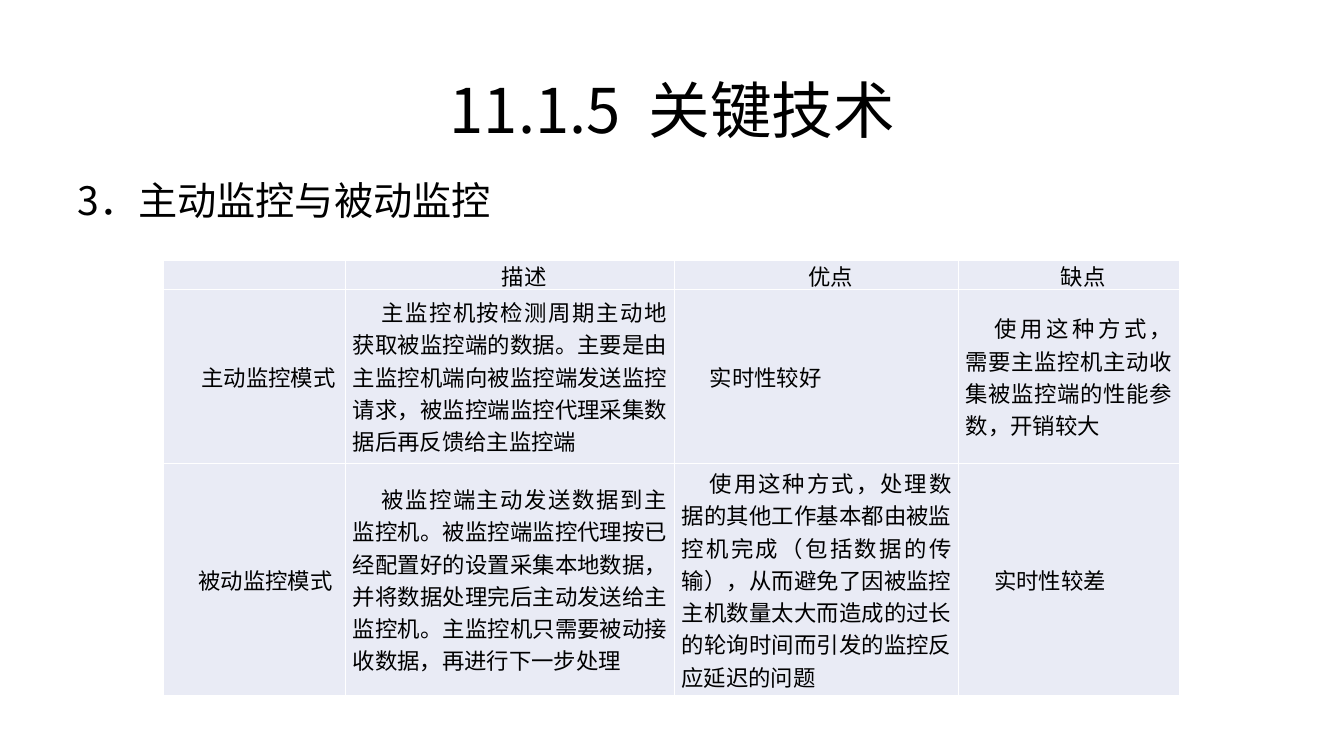
from lxml.etree import SubElement
from pptx import Presentation
from pptx.dml.color import RGBColor
from pptx.enum.text import MSO_ANCHOR, PP_ALIGN
from pptx.oxml.ns import qn
from pptx.util import Inches, Pt

FONT = "Noto Sans CJK SC"
BLACK = RGBColor(0, 0, 0)
CELL_FILL = RGBColor(0xE9, 0xEB, 0xF5)
BORDER = RGBColor(0xFF, 0xFF, 0xFF)


def add_run(paragraph, text, size):
    run = paragraph.add_run()
    run.text = text
    run.font.size = Pt(size)
    run.font.name = FONT
    run.font.color.rgb = BLACK
    SubElement(run.font._element, qn("a:ea"), typeface=FONT)


def add_border(cell, side):
    line = SubElement(cell._tc.get_or_add_tcPr(), qn(f"a:{side}"), w=str(Pt(1)))
    fill = SubElement(line, qn("a:solidFill"))
    SubElement(fill, qn("a:srgbClr"), val=str(BORDER))


presentation = Presentation()
presentation.slide_width = Inches(13.33)
presentation.slide_height = Inches(7.5)
slide = presentation.slides.add_slide(presentation.slide_layouts[6])

# Title and section heading
headings = [
    ("11.1.5  关键技术", 44, (0.92, 0.4, 11.5, 1.45), MSO_ANCHOR.MIDDLE, PP_ALIGN.CENTER),
    ("3．主动监控与被动监控", 28, (0.67, 1.75, 12, 0.7), MSO_ANCHOR.TOP, PP_ALIGN.LEFT),
]
for text, size, place, anchor, alignment in headings:
    shape = slide.shapes.add_textbox(*[Inches(value) for value in place])
    shape.text_frame.word_wrap = True
    shape.text_frame.vertical_anchor = anchor
    paragraph = shape.text_frame.paragraphs[0]
    paragraph.alignment = alignment
    paragraph.line_spacing = 0.9
    add_run(paragraph, text, size)

# Comparison table
rows = [
    ["", "描述", "优点", "缺点"],
    [
        "主动监控模式",
        "主监控机按检测周期主动地获取被监控端的数据。主要是由主监控机端向被监控端发送监控请求，被监控端监控代理采集数据后再反馈给主监控端",
        "实时性较好",
        "使用这种方式，需要主监控机主动收集被监控端的性能参数，开销较大",
    ],
    [
        "被动监控模式",
        "被监控端主动发送数据到主监控机。被监控端监控代理按已经配置好的设置采集本地数据，并将数据处理完后主动发送给主监控机。主监控机只需要被动接收数据，再进行下一步处理",
        "使用这种方式，处理数据的其他工作基本都由被监控机完成（包括数据的传输），从而避免了因被监控主机数量太大而造成的过长的轮询时间而引发的监控反应延迟的问题",
        "实时性较差",
    ],
]
column_widths = [1.81, 3.26, 2.82, 2.19]
row_heights = [0.29, 1.73, 2.3]
table = slide.shapes.add_table(
    len(rows), len(column_widths), Inches(1.62), Inches(2.58),
    Inches(sum(column_widths)), Inches(sum(row_heights)),
).table
table.first_row = False
table.horz_banding = False
for column, width in zip(table.columns, column_widths):
    column.width = Inches(width)
for row, height in zip(table.rows, row_heights):
    row.height = Inches(height)

for row_index, row_texts in enumerate(rows):
    for column_index, text in enumerate(row_texts):
        cell = table.cell(row_index, column_index)
        cell.margin_left = cell.margin_right = Inches(0.07)
        cell.margin_top = cell.margin_bottom = 0
        cell.vertical_anchor = MSO_ANCHOR.MIDDLE if row_index else MSO_ANCHOR.TOP
        for side in ("lnL", "lnR", "lnT", "lnB"):
            add_border(cell, side)
        cell.fill.solid()
        cell.fill.fore_color.rgb = CELL_FILL

        paragraph = cell.text_frame.paragraphs[0]
        centred = row_index == 0 or text == "主动监控模式"
        paragraph.alignment = PP_ALIGN.CENTER if centred else PP_ALIGN.JUSTIFY
        paragraph._p.get_or_add_pPr().set("indent", str(Inches(0.28)))
        if text:
            add_run(paragraph, text, 16)
        else:
            # Keep the empty corner cell as low as its row
            SubElement(paragraph._p, qn("a:endParaRPr"), sz="1600")

presentation.save("out.pptx")
